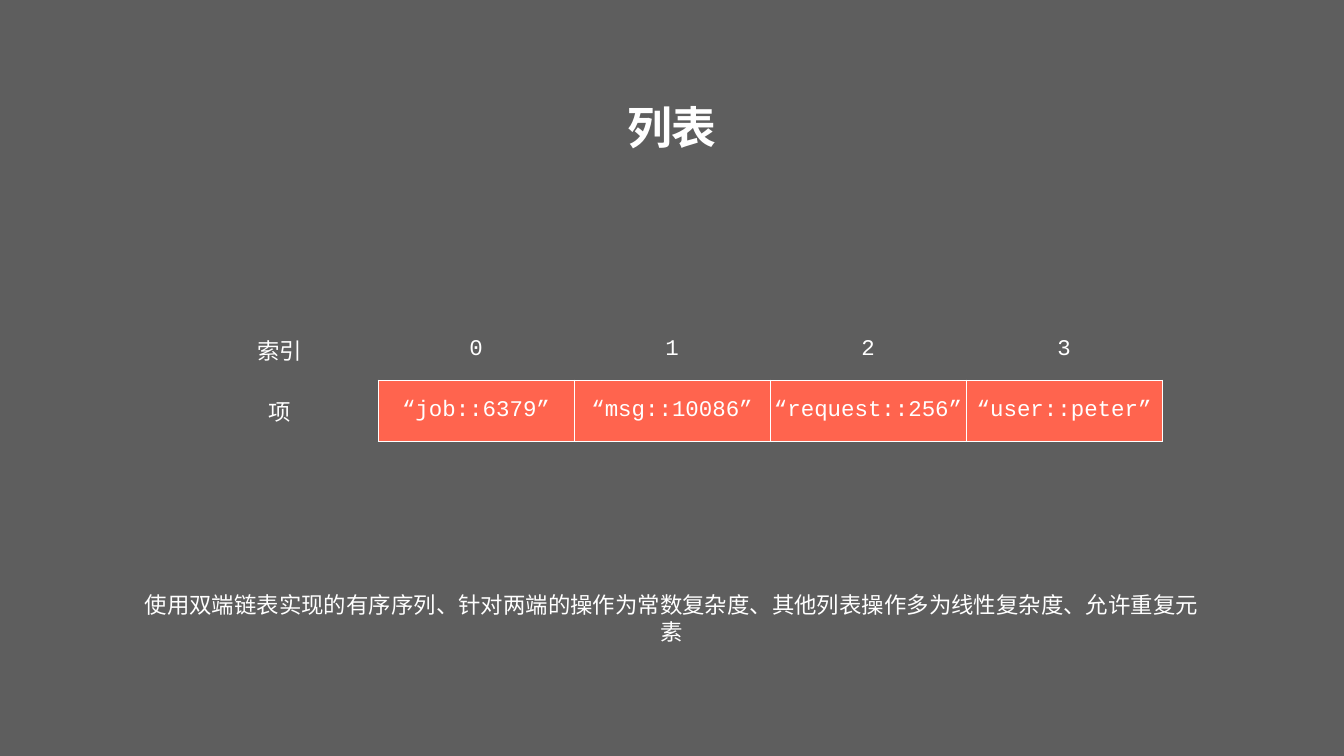
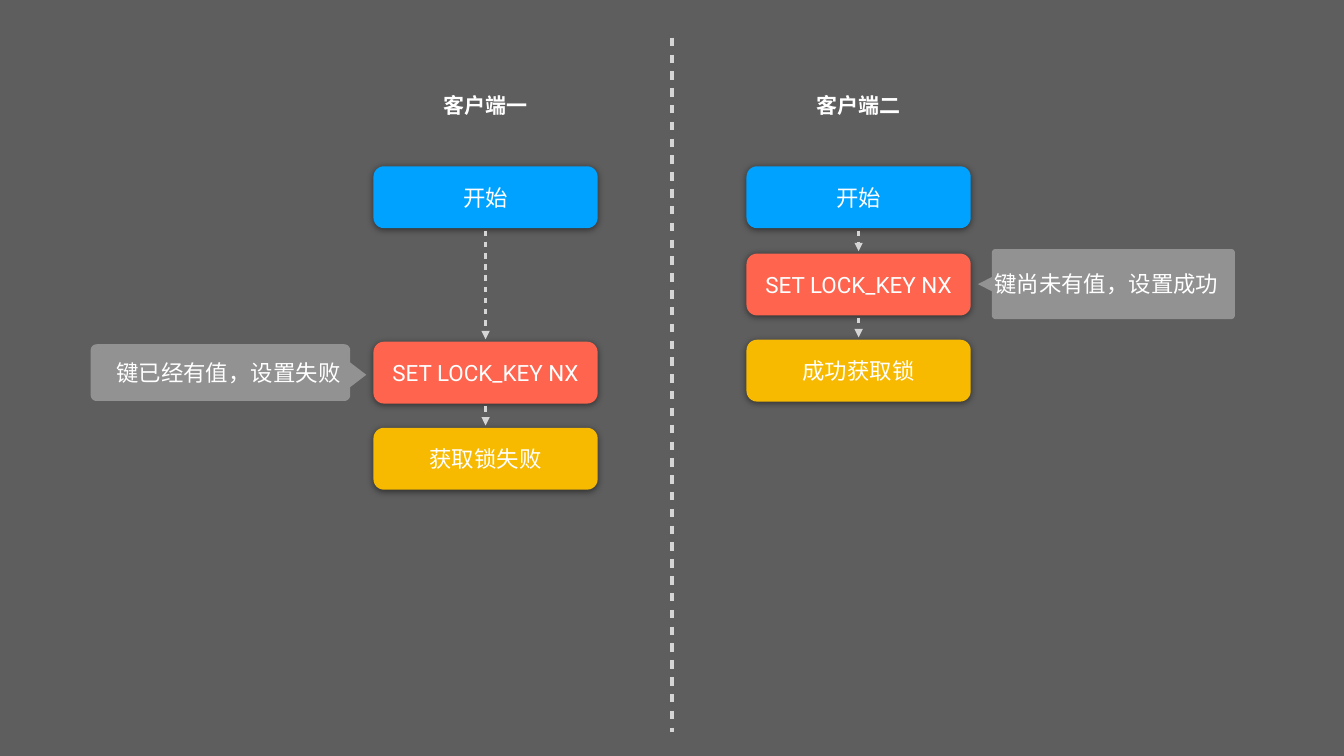
import math

from lxml import etree
from pptx import Presentation
from pptx.dml.color import RGBColor
from pptx.enum.shapes import MSO_CONNECTOR, MSO_SHAPE
from pptx.enum.text import MSO_ANCHOR, MSO_AUTO_SIZE, PP_ALIGN
from pptx.oxml.ns import qn
from pptx.util import Cm, Pt

GREY = RGBColor(0x5E, 0x5E, 0x5E)
WHITE = RGBColor(0xFF, 0xFF, 0xFF)
BLUE = RGBColor(0x00, 0xA2, 0xFF)
RED = RGBColor(0xFF, 0x64, 0x4E)
YELLOW = RGBColor(0xF7, 0xBA, 0x01)
LINE_GREY = RGBColor(0xD5, 0xD5, 0xD5)
CALLOUT_GREY = RGBColor(0x92, 0x92, 0x92)

STRAIGHT = MSO_CONNECTOR.STRAIGHT
ROUNDED = MSO_SHAPE.ROUNDED_RECTANGLE
MIDDLE = MSO_ANCHOR.MIDDLE
CENTER = PP_ALIGN.CENTER
GROW = MSO_AUTO_SIZE.SHAPE_TO_FIT_TEXT

SANS = "Roboto"
MONO = "Courier New"
PLAIN_TABLE_STYLE = "{2D5ABB26-0587-4C30-8999-92F81FD0307C}"
INSET = Cm(0.15)

STEP_WIDTH, STEP_HEIGHT = 11.3, 3.12
ARROW_GAP = 0.12


def add_element(parent, tag, **attributes):
    return etree.SubElement(parent, qn(tag), attributes)


def set_margins(target, margin):
    target.margin_left = target.margin_right = margin
    target.margin_top = target.margin_bottom = margin


def write_text(frame, text, size=32, font=SANS, bold=False):
    para = frame.paragraphs[0]
    para.alignment = CENTER
    span = para.add_run()
    span.text = text
    span.font.name = font
    span.font.size = Pt(size)
    span.font.bold = bold
    span.font.color.rgb = WHITE


def add_label(page, left, top, width, height, text, size=32, bold=False):
    box = page.shapes.add_textbox(Cm(left), Cm(top), Cm(width), Cm(height))
    frame = box.text_frame
    frame.word_wrap = False
    frame.auto_size = GROW
    frame.vertical_anchor = MIDDLE
    set_margins(frame, INSET)
    write_text(frame, text, size, bold=bold)


def style_shape(shape, color, text):
    shape.shadow.inherit = False
    shape.fill.solid()
    shape.fill.fore_color.rgb = color
    shape.line.fill.background()
    frame = shape.text_frame
    frame.word_wrap = True
    frame.vertical_anchor = MIDDLE
    set_margins(frame, 0)
    write_text(frame, text)


def add_dashed_line(page, x, start, end, weight, arrow=False):
    connector = page.shapes.add_connector(STRAIGHT, Cm(x), Cm(start), Cm(x), Cm(end))
    connector.line.color.rgb = LINE_GREY
    connector.line.width = Pt(weight)
    properties = connector._element.spPr
    line = properties.find(qn("a:ln"))
    dashes = add_element(line, "a:custDash")
    add_element(dashes, "a:ds", d="200000", sp="200000")
    if arrow:
        add_element(line, "a:tailEnd", type="triangle")
    add_element(properties, "a:effectLst")


def add_step(page, left, top, color, text):
    step = page.shapes.add_shape(
        ROUNDED, Cm(left), Cm(top), Cm(STEP_WIDTH), Cm(STEP_HEIGHT))
    step.adjustments[0] = 0.17
    style_shape(step, color, text)
    effects = step._element.spPr.find(qn("a:effectLst"))
    shadow = add_element(effects, "a:outerShdw", blurRad=str(Pt(10)), dist=str(Pt(2)),
                         dir="5400000", rotWithShape="0")
    black = add_element(shadow, "a:srgbClr", val="000000")
    add_element(black, "a:alpha", val="50000")


def add_callout(page, left, top, width, height, text, tip, tip_y, notch, corner,
                points_left=False):
    body = width - tip

    def arc(x, y, first_angle):
        angles = [math.radians(first_angle + 15 * step) for step in range(7)]
        return [(x + corner * math.cos(a), y + corner * math.sin(a)) for a in angles]

    outline = [
        *arc(body - corner, corner, -90),
        (body, tip_y - notch), (width, tip_y), (body, tip_y + notch),
        *arc(body - corner, height - corner, 0),
        *arc(corner, height - corner, 90),
        *arc(corner, corner, 180),
    ]
    if points_left:
        outline = [(width - x, y) for x, y in outline]
    points = [(Cm(left + x), Cm(top + y)) for x, y in outline]
    builder = page.shapes.build_freeform(*points[0])
    builder.add_line_segments(points[1:], close=True)
    style_shape(builder.convert_to_shape(), CALLOUT_GREY, text)


def add_borders(cell):
    properties = cell._tc.get_or_add_tcPr()
    for side in ("a:lnL", "a:lnR", "a:lnT", "a:lnB"):
        line = add_element(properties, side, w=str(Pt(1)))
        fill = add_element(line, "a:solidFill")
        add_element(fill, "a:srgbClr", val=str(WHITE))


def add_index_table(page, left, top, column_width, row_height, items):
    rows = [["索引", *map(str, range(len(items)))], ["项", *items]]
    columns = len(rows[0])
    table = page.shapes.add_table(
        len(rows), columns, Cm(left), Cm(top),
        Cm(column_width * columns), Cm(row_height * len(rows))).table
    table.first_row = False
    table.horz_banding = False
    table._tbl.tblPr.find(qn("a:tableStyleId")).text = PLAIN_TABLE_STYLE
    for column in table.columns:
        column.width = Cm(column_width)
    for row_number, row in enumerate(rows):
        table.rows[row_number].height = Cm(row_height)
        for column_number, text in enumerate(row):
            cell = table.cell(row_number, column_number)
            cell.vertical_anchor = MIDDLE
            set_margins(cell, INSET)
            write_text(cell.text_frame, text, font=MONO if column_number else SANS)
            if row_number and column_number:
                add_borders(cell)
                cell.fill.solid()
                cell.fill.fore_color.rgb = RED
            else:
                cell.fill.background()


def add_client_lane(page, left, top, heading, lock_top, result):
    add_label(page, left + STEP_WIDTH / 2 - 2.27, top, 4.54, 1.75, heading, 30, True)
    steps = [
        (top + 3.96, BLUE, "开始"),
        (lock_top, RED, "SET LOCK_KEY NX"),
        (lock_top + 4.34, YELLOW, result),
    ]
    for step_top, color, text in steps:
        add_step(page, left, step_top, color, text)
    for (upper, *_), (lower, *_) in zip(steps, steps[1:]):
        add_dashed_line(page, left + STEP_WIDTH / 2, upper + STEP_HEIGHT + ARROW_GAP,
                        lower - ARROW_GAP, 4, arrow=True)


def build_list_slide(page):
    add_index_table(page, 9.17, 16.05, 9.88, 3.1,
                    ["“job::6379”", "“msg::10086”", "“request::256”", "“user::peter”"])
    add_label(page, 31.45, 4.65, 4.83, 3.45, "列表", 64, True)
    add_label(page, 6.6, 30.2, 54.51, 1.88,
              "使用双端链表实现的有序序列、针对两端的操作为常数复杂度、"
              "其他列表操作多为线性复杂度、允许重复元素")


def build_lock_slide(page):
    add_dashed_line(page, 33.87, 1.9, 36.88, 6)
    add_client_lane(page, 18.82, 4.42, "客户端一", 17.22, "获取锁失败")
    add_client_lane(page, 37.62, 4.42, "客户端二", 12.78, "成功获取锁")
    add_callout(page, 4.57, 17.35, 13.89, 2.86, "键已经有值，设置失败",
                tip=0.81, tip_y=1.54, notch=0.62, corner=0.3)
    add_callout(page, 49.28, 12.55, 12.95, 3.53, "键尚未有值，设置成功",
                tip=0.71, tip_y=1.77, notch=0.36, corner=0.18, points_left=True)


def main():
    deck = Presentation()
    deck.slide_width, deck.slide_height = Cm(67.73), Cm(38.1)
    background = deck.slide_master.background.fill
    background.solid()
    background.fore_color.rgb = GREY
    for build in (build_list_slide, build_lock_slide):
        build(deck.slides.add_slide(deck.slide_layouts[6]))
    deck.save("out.pptx")


if __name__ == "__main__":
    main()
